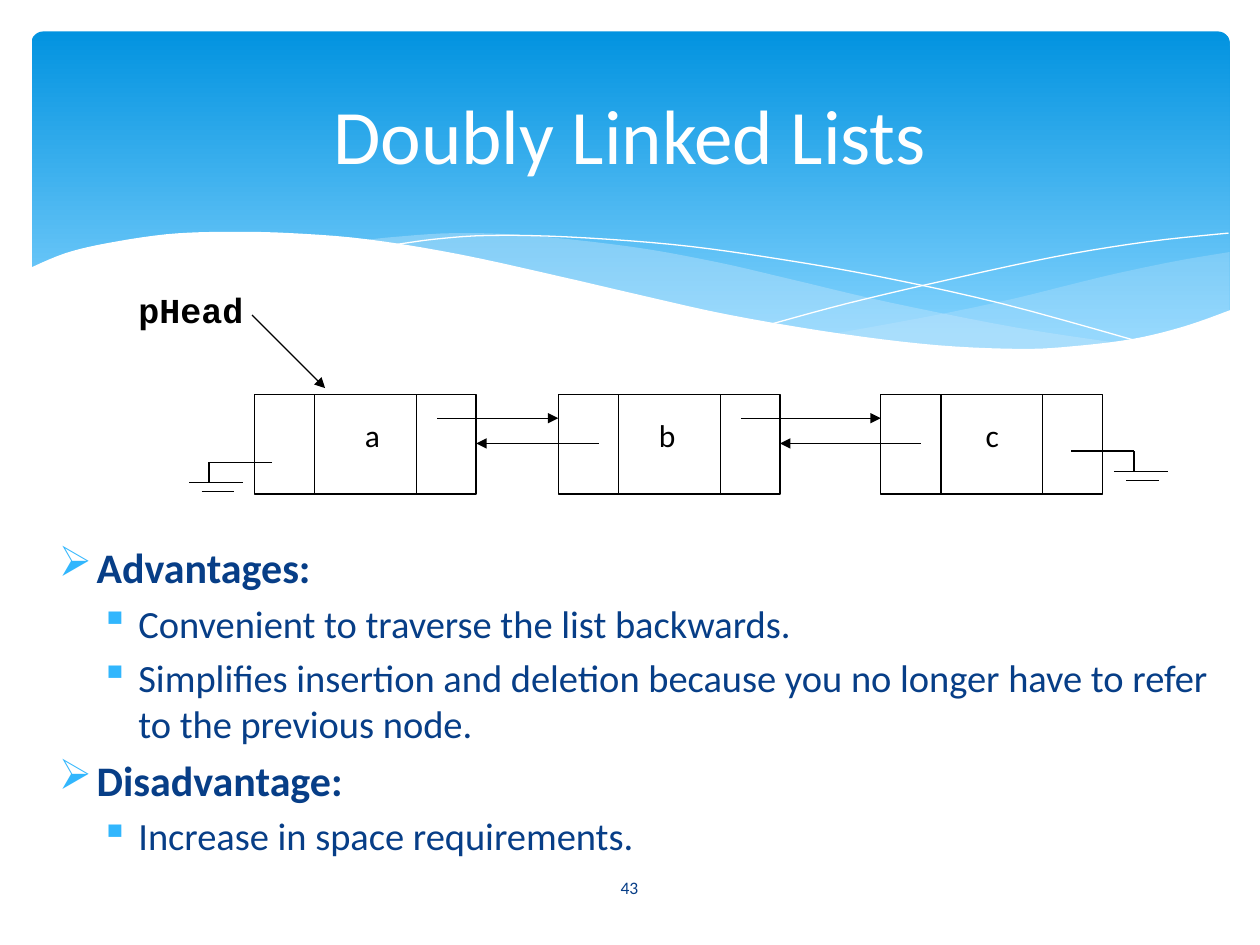
from lxml.etree import SubElement
from pptx import Presentation
from pptx.dml.color import RGBColor
from pptx.enum.shapes import MSO_CONNECTOR, MSO_SHAPE
from pptx.enum.text import MSO_ANCHOR as Anchor, PP_ALIGN as Align
from pptx.oxml.ns import qn
from pptx.util import Pt

COLORS = {"sky": "0293E0", "pale": "83D3FE", "veil": "C6E7FC", "white": "FFFFFF",
          "black": "000000", "navy": "073E87", "bullet": "31B6FD"}

TITLE = "Doubly Linked Lists"
PAGE_NUMBER = "43"
POINTS = [
    (0, "Advantages:"),
    (1, "Convenient to traverse the list backwards."),
    (1, "Simplifies insertion and deletion because you no longer have to refer "
        "to the previous node."),
    (0, "Disadvantage:"),
    (1, "Increase in space requirements."),
]
# level: bullet, left margin, size, bold, space before
LEVELS = [("➢", 21.6, 24, True, 4.8), ("▪", 45.4, 22, False, 4.4)]

# label, left edge of the node, left edge of its label
NODES = [("a", 145.4, 185.8), ("b", 319, 354.2), ("c", 503.3, 540)]
NODE_TOP, NODE_WIDTH, NODE_HEIGHT = 225.4, 126.7, 56.9
DIVIDERS = (34.5, 92.6)
FORWARD_Y, BACK_Y = 239, 253.4
# wire start x, wire end x, wire y, ground y
GROUNDS = [(155.5, 119.5, 264.3, 275.9), (612, 648, 257.8, 269.4)]

# Each wave is a list of curves, joined end to end
VEILS = [
    (29, [[(702.7, 144), (673, 149), (641.5, 155.5), (619.9, 160.6), (579.6, 170.6),
           (542.2, 178.6), (508.3, 185), (475.9, 190.8)],
          [(475.9, 190.8), (517.7, 195.8), (562.3, 199.4), (607.7, 199.4),
           (645.8, 194.4), (683.3, 185), (702.7, 177.8)]]),
    (40, [[(643, 196.6), (581, 187.2), (508.3, 172.8), (452.9, 159.8), (409.7, 149.8),
           (361.4, 141.1), (302.4, 134.6), (259.9, 133.2), (225.4, 135.4), (205.9, 137.5)],
          [(205.9, 137.5), (260.6, 146.2), (323.3, 159.8), (407.5, 178.6), (478.8, 191.5),
           (547.9, 199), (596.2, 200.2), (643, 196.6)]]),
]
STRANDS = [
    [(222.5, 140.4), (247.7, 136.8), (278.6, 134.6), (324, 135.4), (383.8, 139.7),
     (437.8, 146.9), (500.4, 157.7), (572.4, 173.5), (653, 195.8)],
    [(441.4, 185), (483.8, 173.5), (538.6, 160.6), (601.9, 146.9), (655.2, 138.2),
     (702, 133.2)],
]
FRONT_WAVE = [
    [(703.4, 177.1), (676.8, 186.5), (647.3, 193.7), (612, 198), (582.5, 199.4),
     (535.7, 197.3), (481, 190.8), (416.9, 180), (362.2, 167.8), (321.8, 158.4),
     (262.8, 145.4), (210.2, 136.8), (165.6, 133.2), (127.4, 132.5), (95, 133.9),
     (61.2, 139), (37.4, 144.7), (16.6, 153.4)],
    [(16.6, 236.9)], [(703.4, 236.9)],
]

deck = Presentation()
deck.slide_width, deck.slide_height = Pt(720), Pt(540)
page = deck.slides.add_slide(deck.slide_layouts[6])
shapes = page.shapes


def color(name):
    return RGBColor.from_string(COLORS[name])


def smooth(knots, steps=5):
    """Points of a Catmull-Rom curve through the knots."""
    padded = [knots[0], *knots, knots[-1]]
    curve = [knots[0]]
    for a, b, c, d in zip(padded, padded[1:], padded[2:], padded[3:]):
        for t in (step / steps for step in range(1, steps + 1)):
            curve.append(tuple(
                q + t / 2 * (r - p + t * (2 * p - 5 * q + 4 * r - s + t * (3 * (q - r) + s - p)))
                for p, q, r, s in zip(a, b, c, d)))
    return curve


def add_wave(curves, fill=None, opacity=100):
    """Filled closed wave, or an open white hairline when no fill is given."""
    outline = [(Pt(x), Pt(y)) for knots in curves for x, y in smooth(knots)]
    builder = shapes.build_freeform(*outline[0])
    builder.add_line_segments(outline[1:], close=fill is not None)
    wave = builder.convert_to_shape()
    wave.shadow.inherit = False
    if fill is None:
        wave.fill.background()
        wave.line.color.rgb = color("white")
        wave.line.width = Pt(0)
        return
    wave.fill.solid()
    wave.fill.fore_color.rgb = color(fill)
    wave.line.fill.background()
    if opacity < 100:
        tint = wave.fill._xPr.find(".//" + qn("a:srgbClr"))
        SubElement(tint, qn("a:alpha"), val=str(opacity * 1000))


def add_line(x1, y1, x2, y2, arrow=False):
    line = shapes.add_connector(MSO_CONNECTOR.STRAIGHT, Pt(x1), Pt(y1), Pt(x2), Pt(y2))
    line.line.color.rgb = color("black")
    line.line.width = Pt(0.75)
    if arrow:
        SubElement(line.line._get_or_add_ln(), qn("a:tailEnd"), type="triangle")
    SubElement(line._element.spPr, qn("a:effectLst"))


def style(para, text, size, ink, bold=False, font="Calibri"):
    para.text = text
    para.font.name, para.font.size, para.font.bold = font, Pt(size), bold
    para.font.color.rgb = color(ink)


def add_box(x, y, width, height, anchor=Anchor.TOP):
    box = shapes.add_textbox(Pt(x), Pt(y), Pt(width), Pt(height))
    box.text_frame.word_wrap = True
    box.text_frame.vertical_anchor = anchor
    return box.text_frame


def add_label(text, place, size, ink, anchor=Anchor.TOP, align=Align.CENTER, **look):
    para = add_box(*place, anchor).paragraphs[0]
    para.alignment = align
    style(para, text, size, ink, **look)


def add_bullet(para, mark, margin):
    props = para._p.get_or_add_pPr()
    props.set("marL", str(Pt(margin)))
    props.set("indent", str(Pt(-21.6)))
    tint = SubElement(props, qn("a:buClr"))
    SubElement(tint, qn("a:srgbClr"), val=COLORS["bullet"])
    SubElement(props, qn("a:buChar"), char=mark)


# Banner
banner = shapes.add_shape(MSO_SHAPE.ROUNDED_RECTANGLE, Pt(18), Pt(18), Pt(684.7), Pt(194.4))
banner.adjustments[0] = 0.034
banner.shadow.inherit = False
banner.line.fill.background()
banner.fill.gradient()
banner.fill.gradient_angle = 270
for stop, name, position in zip(banner.fill.gradient_stops, ("sky", "pale"), (0, 0.9)):
    stop.color.rgb = color(name)
    stop.position = position
for opacity, curves in VEILS:
    add_wave(curves, "veil", opacity)
for strand in STRANDS:
    add_wave([strand])
add_wave(FRONT_WAVE, "white")

# Text
body = add_box(26.6, 306, 675.4, 210)
for index, (level, text) in enumerate(POINTS):
    para = body.add_paragraph() if index else body.paragraphs[0]
    mark, margin, size, bold, gap = LEVELS[level]
    para.level = level
    para.space_before = Pt(gap if index else 0)
    add_bullet(para, mark, margin)
    style(para, text, size, "navy", bold)
add_label(PAGE_NUMBER, (314, 492.5, 91.4, 28.8), 10, "navy", Anchor.MIDDLE)
add_label(TITLE, (36, 27.4, 648, 98.6), 44, "white", Anchor.MIDDLE)

# Linked list
for label, left, label_left in NODES:
    node = shapes.add_shape(MSO_SHAPE.RECTANGLE, Pt(left), Pt(NODE_TOP),
                            Pt(NODE_WIDTH), Pt(NODE_HEIGHT))
    node.shadow.inherit = False
    node.fill.solid()
    node.fill.fore_color.rgb = color("white")
    node.line.color.rgb = color("black")
    node.line.width = Pt(0.75)
    for offset in DIVIDERS:
        add_line(left + offset, NODE_TOP, left + offset, NODE_TOP + NODE_HEIGHT)
    add_label(label, (label_left, 234, 54, 36), 18, "black")
for (_, left, _), (_, following, _) in zip(NODES, NODES[1:]):
    add_line(left + 104.4, FORWARD_Y, following, FORWARD_Y, arrow=True)
    add_line(following + 23, BACK_Y, left + NODE_WIDTH, BACK_Y, arrow=True)
add_label("pHead", (72, 161.3, 102.2, 42.5), 20, "black", align=Align.LEFT,
          bold=True, font="Courier New")
add_line(144, 180, 185.8, 221.8, arrow=True)
for start, end, wire_y, ground_y in GROUNDS:
    add_line(start, wire_y, end, wire_y)
    add_line(end, wire_y, end, ground_y)
    add_line(end - 11.5, ground_y, end + 19.4, ground_y)
    add_line(end - 4.3, ground_y + 5, end + 14.4, ground_y + 5)

deck.save("out.pptx")
